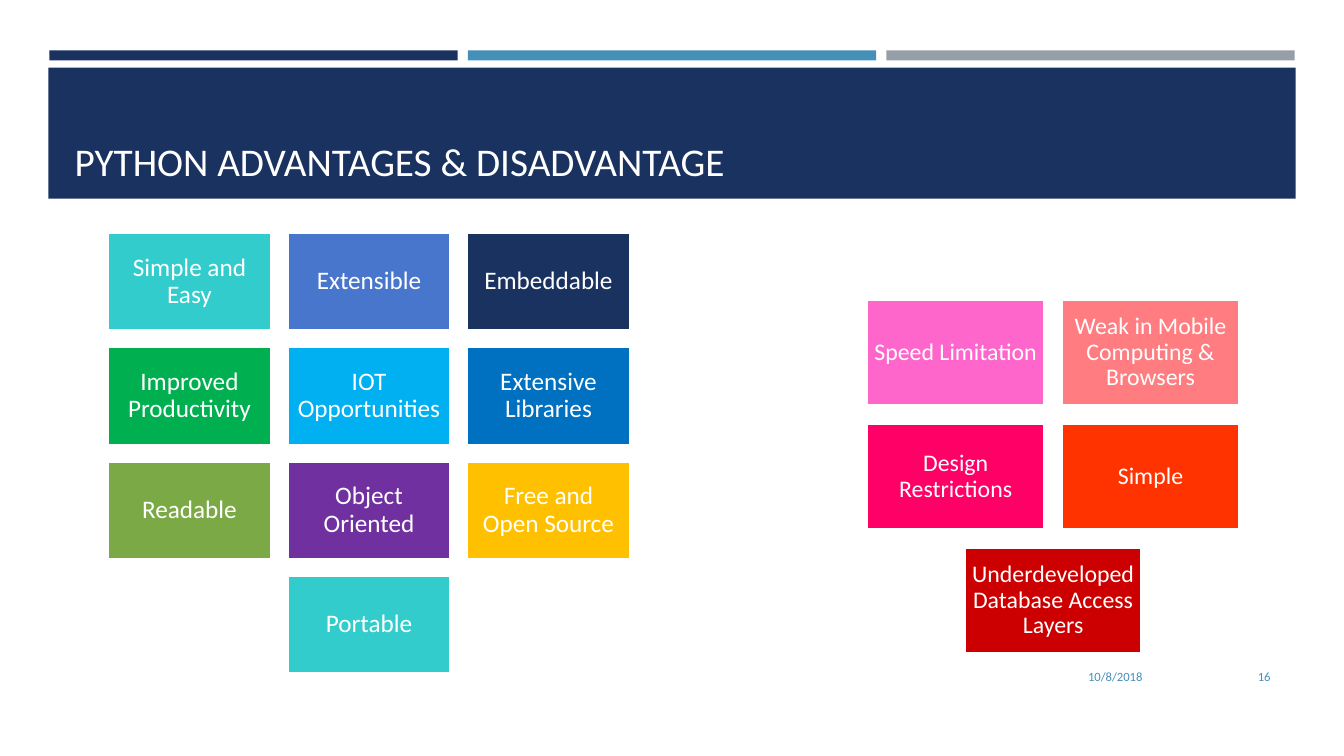
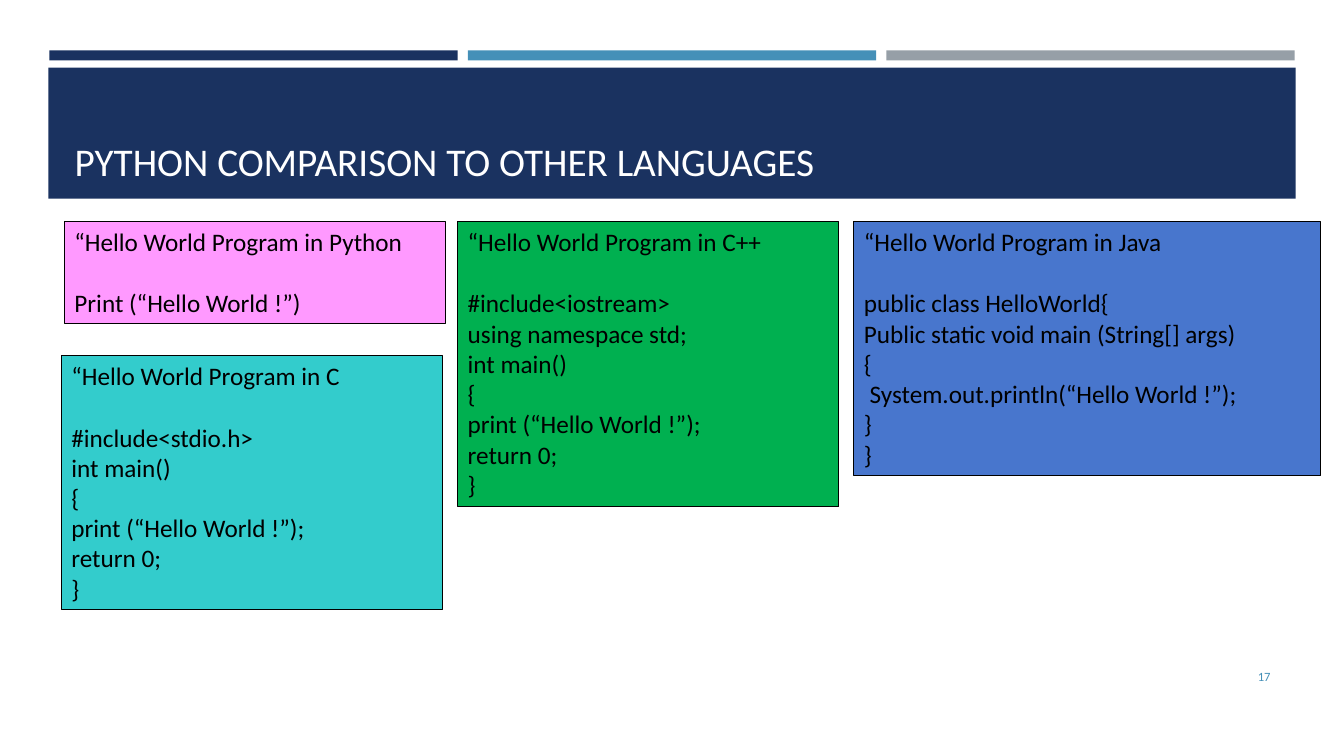
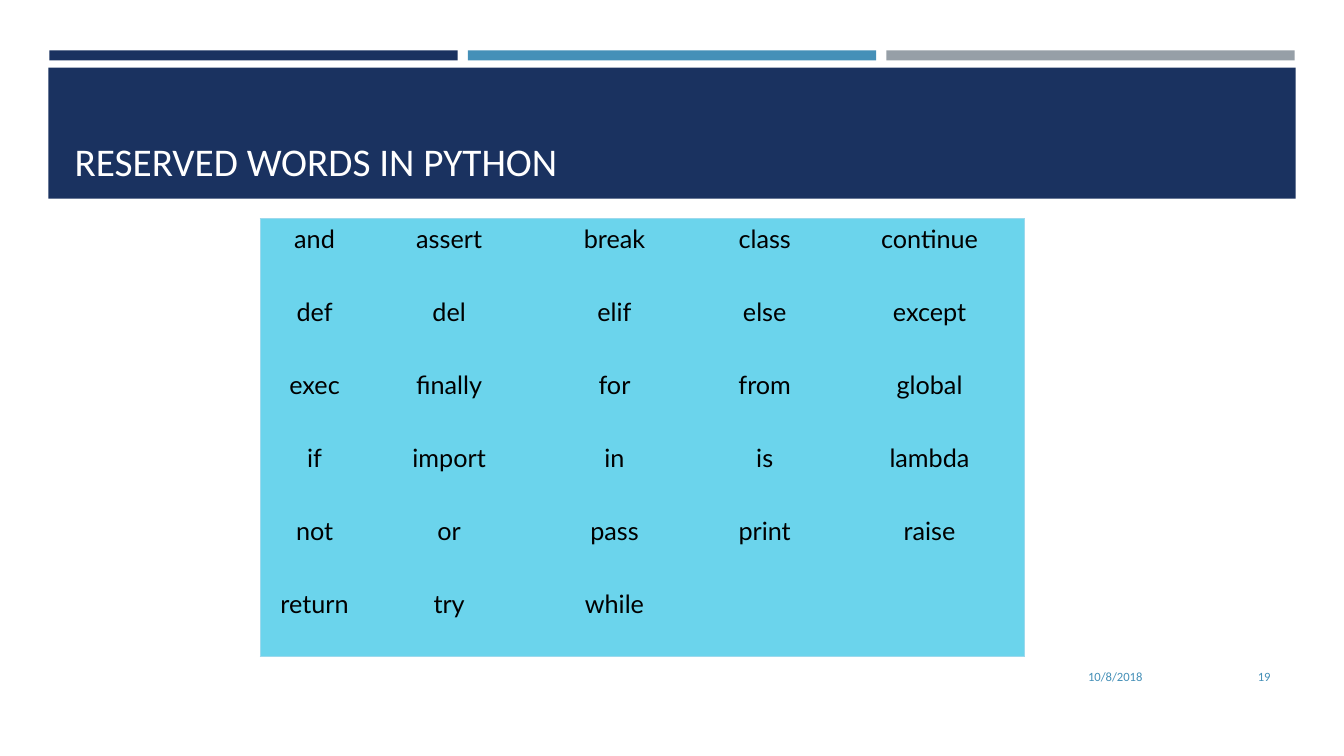
from dataclasses import dataclass

from lxml import etree
from pptx import Presentation
from pptx.dml.color import RGBColor
from pptx.enum.shapes import MSO_SHAPE as SHAPE
from pptx.enum.text import MSO_ANCHOR as ANCHOR, PP_ALIGN as ALIGN
from pptx.oxml.ns import qn
from pptx.util import Inches, Pt


@dataclass(frozen=True)
class Theme:
    font: str = "Calibri"
    table_font: str = "Lato"
    navy: str = "1A3260"
    blue: str = "4590B8"
    gray: str = "969FA7"
    white: str = "FFFFFF"
    black: str = "000000"
    teal: str = "33CCCC"
    green: str = "00B050"
    royal: str = "4876CD"
    pink: str = "FF99FF"
    table_fill: str = "6BD4EC"
    table_edge: str = "9CD9ED"
    title_size: int = 28
    body_size: int = 18
    small_tile_size: int = 17
    footer_size: int = 9


@dataclass(frozen=True)
class Box:
    left: float
    top: float
    width: float
    height: float = 0

    def inches(self):
        return [Inches(v) for v in (self.left, self.top, self.width, self.height)]


T = Theme()
TITLE = Box(0.64, 0.77, 12.06, 1.11)
DATE = Box(8.32, 6.51, 3.11, 0.4)
NUMBER = Box(11.55, 6.51, 1.15, 0.4)

ADVANTAGES = [
    ("Simple and Easy", T.teal), ("Extensible", T.royal), ("Embeddable", T.navy),
    ("Improved Productivity", T.green), ("IOT Opportunities", "00B0F0"),
    ("Extensive Libraries", "0070C0"), ("Readable", "7BA946"),
    ("Object Oriented", "7030A0"), ("Free and Open Source", "FFC000"),
    ("Portable", T.teal),
]
DISADVANTAGES = [
    ("Speed Limitation", "FF66CC"),
    ("Weak in Mobile Computing & Browsers", "FF7C80"),
    ("Design Restrictions", "FF0066"), ("Simple", "FF3300"),
    ("Underdeveloped Database Access Layers", "CC0000"),
]
PROGRAMS = [
    (Box(0.64, 2.2, 3.78, 1.01), T.pink, "Python", ["Print (“Hello World !”)"]),
    (Box(0.61, 3.53, 3.78, 2.52), T.teal, "C",
     ["#include<stdio.h>", "int main()", "{", "print (“Hello World !”);",
      "return 0;", "}"]),
    (Box(4.54, 2.2, 3.78, 2.83), T.green, "C++",
     ["#include<iostream>", "using namespace std;", "int main()", "{",
      "print (“Hello World !”);", "return 0;", "}"]),
    (Box(8.47, 2.2, 4.63, 2.52), T.royal, "Java",
     ["public class HelloWorld{", "Public static void main (String[] args)", "{",
      " System.out.println(“Hello World !”);", "}", "}"]),
]
RESERVED_WORDS = [
    ["and", "assert", "break", "class", "continue"],
    ["def", "del", "elif", "else", "except"],
    ["exec", "finally", "for", "from", "global"],
    ["if", "import", "in", "is", "lambda"],
    ["not", "or", "pass", "print", "raise"],
    ["return", "try", "while", "", ""],
]
COLUMN_WIDTHS = [1.03, 1.64, 1.64, 1.34, 1.93]


def style(p, size, color, align=ALIGN.LEFT, font=T.font):
    p.alignment = align
    p.font.name = font
    p.font.size = Pt(size)
    p.font.color.rgb = RGBColor.from_string(color)


def add_rect(slide, box, fill, line=None, line_width=0.75):
    sp = slide.shapes.add_shape(SHAPE.RECTANGLE, *box.inches())
    sp.shadow.inherit = False
    sp.fill.solid()
    sp.fill.fore_color.rgb = RGBColor.from_string(fill)
    if line:
        sp.line.color.rgb = RGBColor.from_string(line)
        sp.line.width = Pt(line_width)
    else:
        sp.line.fill.background()
    return sp


def decorate_layout(layout, slide):
    """Draw the bands on a slide, then move them to the back of its layout."""
    bands = [add_rect(slide, Box(0.49 + i * 4.15, 0.5, 4.05, 0.1), color)
             for i, color in enumerate((T.navy, T.blue, T.gray))]
    bands.append(add_rect(slide, Box(0.48, 0.67, 12.37, 1.3), T.navy))
    for sp in bands:
        layout.shapes.element.insert(2, sp.element)
    title = layout.placeholders[0]
    title.left, title.top, title.width, title.height = TITLE.inches()


def add_footer(slide, box, text):
    tf = slide.shapes.add_textbox(*box.inches()).text_frame
    tf.word_wrap = True
    tf.vertical_anchor = ANCHOR.MIDDLE
    p = tf.paragraphs[0]
    p.text = text
    style(p, T.footer_size, T.blue, ALIGN.RIGHT)


def add_slide(prs, layout, title, number, date=None):
    slide = prs.slides.add_slide(layout)
    tf = slide.shapes.title.text_frame
    tf.text = title
    tf.vertical_anchor = ANCHOR.BOTTOM
    style(tf.paragraphs[0], T.title_size, T.white)
    if date:
        add_footer(slide, DATE, date)
    add_footer(slide, NUMBER, str(number))
    return slide


def add_tiles(slide, box, tiles, columns, size):
    """Fill the box's width with tiles; a short last row is centred."""
    width = box.width / (columns + 0.1 * (columns - 1))
    height, gap = 0.6 * width, 0.1 * width
    for i, (text, fill) in enumerate(tiles):
        row, column = divmod(i, columns)
        in_row = min(columns, len(tiles) - row * columns)
        column += (columns - in_row) / 2
        tile = Box(box.left + column * (width + gap),
                   box.top + row * (height + gap), width, height)
        tf = add_rect(slide, tile, fill, T.white, 1.75).text_frame
        tf.word_wrap = True
        tf.vertical_anchor = ANCHOR.MIDDLE
        tf.margin_left = tf.margin_right = Inches(0.07)
        tf.margin_top = tf.margin_bottom = Inches(0.07)
        p = tf.paragraphs[0]
        p.text = text
        p.line_spacing = 0.9
        style(p, size, T.white, ALIGN.CENTER)


def add_program(slide, box, fill, language, code):
    tf = add_rect(slide, box, fill, T.black).text_frame
    tf.word_wrap = True
    tf.vertical_anchor = ANCHOR.TOP
    tf.text = "\n".join([f"“Hello World Program in {language}", *code])
    for p in tf.paragraphs:
        style(p, T.body_size, T.black)
    tf.paragraphs[0].space_after = Pt(22)


def set_border(cell, side, color):
    """Draw one side (L, R, T or B) of a cell, or clear it without a colour."""
    ln = etree.SubElement(cell._tc.get_or_add_tcPr(), qn(f"a:ln{side}"), w=str(Pt(1)))
    fill = etree.SubElement(ln, qn("a:solidFill" if color else "a:noFill"))
    if color:
        etree.SubElement(fill, qn("a:srgbClr"), val=color)


def add_word_table(slide, box, rows, widths):
    table = slide.shapes.add_table(len(rows), len(widths), *box.inches()).table
    table.first_row = table.horz_banding = False
    for column, width in zip(table.columns, widths):
        column.width = Inches(width)
    last_row, last_column = len(rows) - 1, len(widths) - 1
    for r, words in enumerate(rows):
        for c, word in enumerate(words):
            cell = table.cell(r, c)
            outer = {"L": c == 0, "R": c == last_column,
                     "T": r == 0, "B": r == last_row}
            for side, is_outer in outer.items():
                set_border(cell, side, T.table_edge if is_outer else None)
            cell.fill.solid()
            cell.fill.fore_color.rgb = RGBColor.from_string(T.table_fill)
            cell.margin_left = Inches(0.15)
            p = cell.text_frame.paragraphs[0]
            p.text = word
            style(p, T.body_size, T.black, ALIGN.CENTER, T.table_font)


def main():
    prs = Presentation()
    prs.slide_width, prs.slide_height = Inches(13.33), Inches(7.5)
    layout = prs.slide_layouts.get_by_name("Title Only")
    date = "10/8/2018"

    slide = add_slide(prs, layout, "PYTHON ADVANTAGES & DISADVANTAGE", 16, date)
    decorate_layout(layout, slide)
    add_tiles(slide, Box(1.07, 2.31, 5.18), ADVANTAGES, 3, T.body_size)
    add_tiles(slide, Box(8.6, 2.97, 3.69), DISADVANTAGES, 2, T.small_tile_size)

    slide = add_slide(prs, layout, "PYTHON COMPARISON TO OTHER LANGUAGES", 17)
    for program in PROGRAMS:
        add_program(slide, *program)

    slide = add_slide(prs, layout, "RESERVED WORDS IN PYTHON", 19, date)
    add_word_table(slide, Box(2.58, 2.17, 7.58, 4.34), RESERVED_WORDS, COLUMN_WIDTHS)

    prs.save("out.pptx")


if __name__ == "__main__":
    main()
